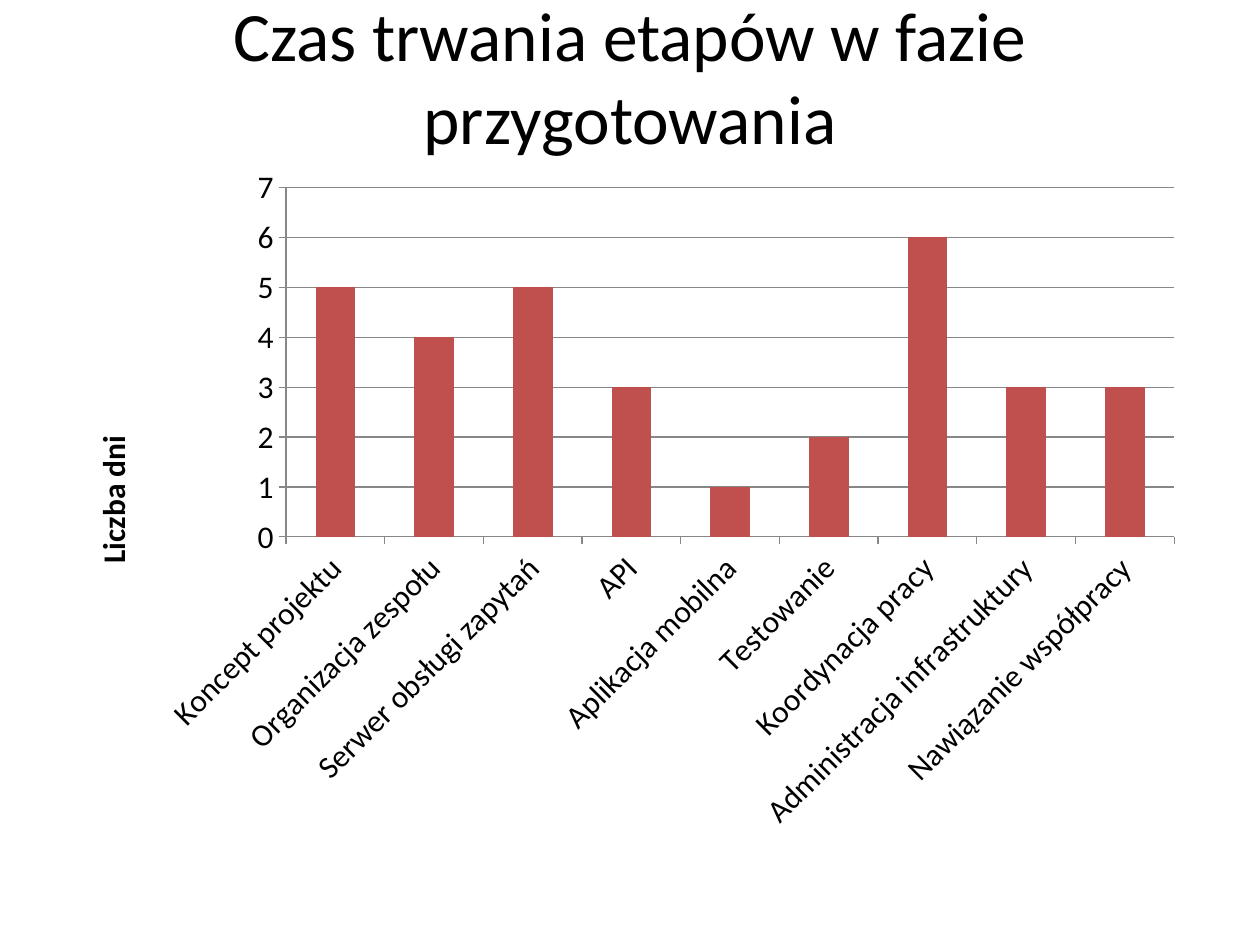
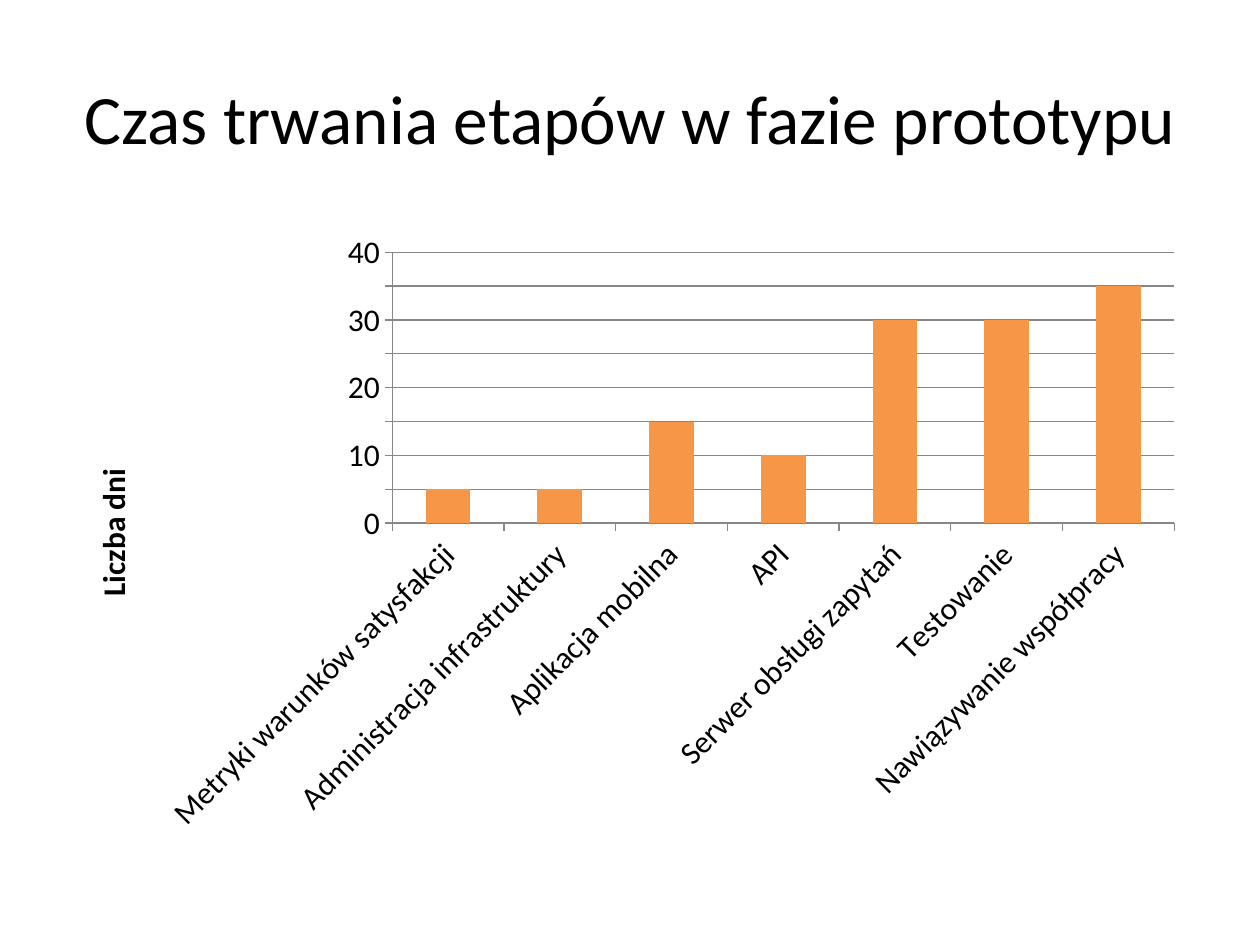
from dataclasses import dataclass

from pptx import Presentation
from pptx.chart import data as chart_data
from pptx.dml.color import RGBColor
from pptx.enum import chart as chart_enum, text
from pptx.util import Cm, Pt

FONT = "Calibri"
INK = "000000"
GRID = "878787"
RED = "C0504D"
ORANGE = "F79646"
LEFT, WIDTH = 1.27, 22.86
TITLE_TOP, TITLE_HEIGHT = 0.76, 3.18
CHART_BOTTOM = 17.02
AXIS_LABEL = "Liczba dni"


@dataclass(frozen=True)
class Phase:
    title: str
    title_bottom_inset: float
    chart_top: float
    bar_color: str
    axis_max: int
    axis_step: int
    days: dict[str, int]


PHASES = [
    Phase(
        "Czas trwania etapów w fazie przygotowania", 1.8, 3.12, RED, 7, 1,
        {
            "Koncept projektu": 5,
            "Organizacja zespołu": 4,
            "Serwer obsługi zapytań": 5,
            "API": 3,
            "Aplikacja mobilna": 1,
            "Testowanie": 2,
            "Koordynacja pracy": 6,
            "Administracja infrastruktury": 3,
            "Nawiązanie współpracy": 3,
        },
    ),
    Phase(
        "Czas trwania etapów w fazie prototypu", 0.13, 4.45, ORANGE, 40, 5,
        {
            "Metryki warunków satysfakcji": 5,
            "Administracja infrastruktury": 5,
            "Aplikacja mobilna": 15,
            "API": 10,
            "Serwer obsługi zapytań": 30,
            "Testowanie": 30,
            "Nawiązywanie współpracy": 35,
        },
    ),
]


def rgb(hex_color: str) -> RGBColor:
    return RGBColor.from_string(hex_color)


def style_font(font, size: float, bold: bool = False) -> None:
    font.name = FONT
    font.size = Pt(size)
    font.bold = bold
    font.color.rgb = rgb(INK)


def style_line(line) -> None:
    line.color.rgb = rgb(GRID)
    line.width = Pt(0.75)


def rotate(body_properties, degrees: int) -> None:
    body_properties.set("rot", str(degrees * 60000))
    body_properties.set("vert", "horz")


def write_title(slide, phase: Phase) -> None:
    title = slide.shapes.title
    title.left, title.top = Cm(LEFT), Cm(TITLE_TOP)
    title.width, title.height = Cm(WIDTH), Cm(TITLE_HEIGHT)
    frame = title.text_frame
    frame.text = phase.title
    frame.auto_size = text.MSO_AUTO_SIZE.NONE
    frame.word_wrap = True
    frame.vertical_anchor = text.MSO_ANCHOR.MIDDLE
    frame.margin_bottom = Cm(phase.title_bottom_inset)
    heading = frame.paragraphs[0]
    heading.alignment = text.PP_ALIGN.CENTER
    style_font(heading.runs[0].font, 39.6)


def style_axes(chart, phase: Phase) -> None:
    stages, days = chart.category_axis, chart.value_axis
    for axis in (stages, days):
        axis.major_tick_mark = chart_enum.XL_TICK_MARK.OUTSIDE
        axis.minor_tick_mark = chart_enum.XL_TICK_MARK.NONE
        style_font(axis.tick_labels.font, 18)
        style_line(axis.format.line)
    stages.has_major_gridlines = False
    rotate(stages._element.txPr.bodyPr, -45)

    days.minimum_scale, days.maximum_scale = 0, phase.axis_max
    days.major_unit = phase.axis_step
    days.has_major_gridlines = True
    style_line(days.major_gridlines.format.line)
    days.has_title = True
    label = days.axis_title.text_frame
    label.text = AXIS_LABEL
    style_font(label.paragraphs[0].runs[0].font, 18, bold=True)
    rotate(label._txBody.bodyPr, -90)


def draw_chart(slide, phase: Phase) -> None:
    durations = chart_data.CategoryChartData()
    durations.categories = list(phase.days)
    durations.add_series("Series 1", list(phase.days.values()))
    chart = slide.shapes.add_chart(
        chart_enum.XL_CHART_TYPE.COLUMN_CLUSTERED,
        Cm(LEFT), Cm(phase.chart_top),
        Cm(WIDTH), Cm(CHART_BOTTOM - phase.chart_top),
        durations,
    ).chart
    chart.has_title = False
    chart.has_legend = False
    style_font(chart.font, 18)
    bars = chart.plots[0]
    bars.gap_width = 150
    bars.vary_by_categories = False
    fill = bars.series[0].format.fill
    fill.solid()
    fill.fore_color.rgb = rgb(phase.bar_color)
    style_axes(chart, phase)


def main() -> None:
    deck = Presentation()
    deck.slide_width, deck.slide_height = Cm(25.4), Cm(19.05)
    title_only = deck.slide_layouts[5]
    for phase in PHASES:
        slide = deck.slides.add_slide(title_only)
        write_title(slide, phase)
        draw_chart(slide, phase)
    deck.save("out.pptx")


main()
